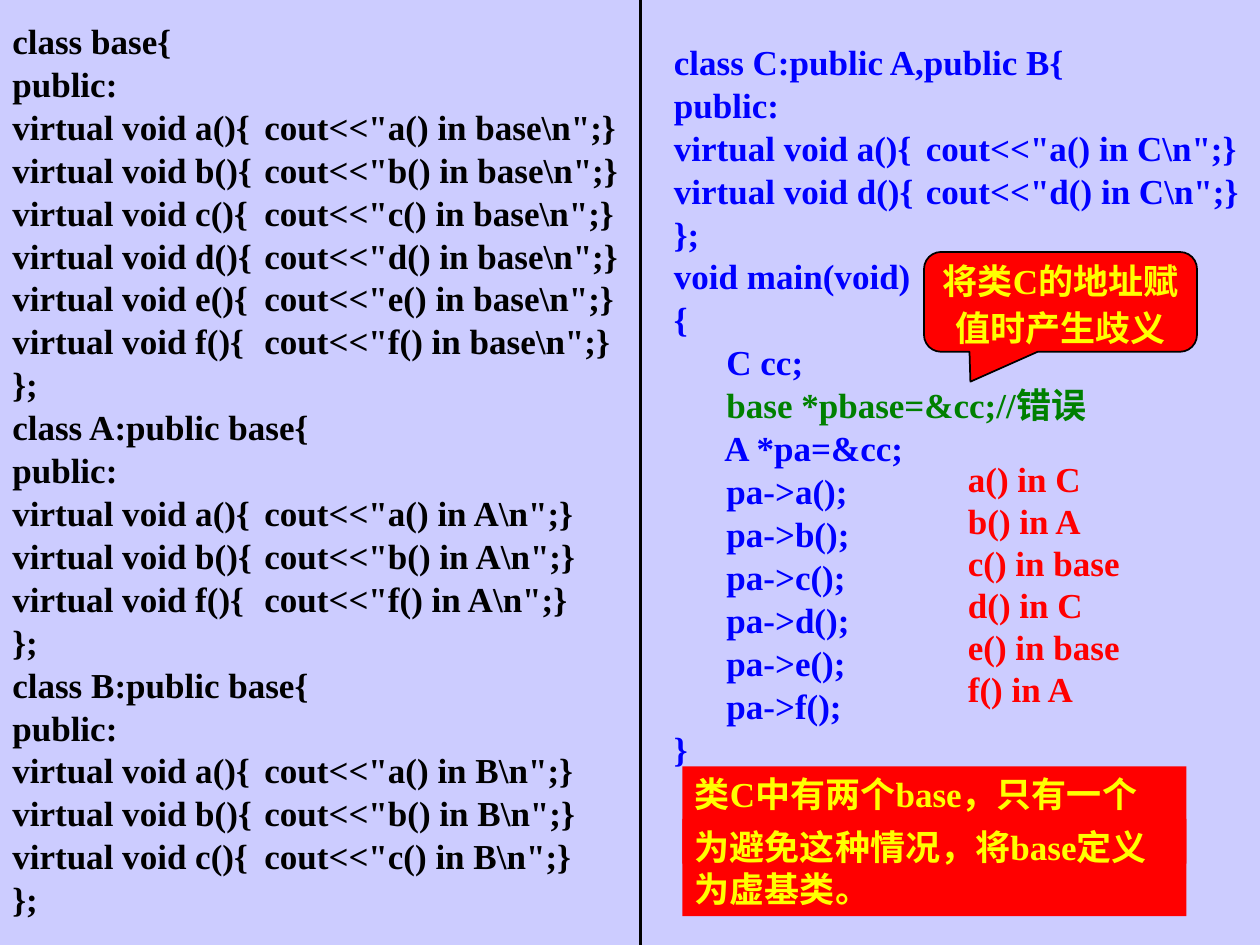
from dataclasses import dataclass
from pptx import Presentation
from pptx.dml.color import RGBColor
from pptx.enum.shapes import MSO_CONNECTOR, MSO_SHAPE
from pptx.enum.text import MSO_ANCHOR, PP_ALIGN
from pptx.oxml.ns import qn
from pptx.util import Pt


@dataclass(frozen=True)
class Theme:
    font: str = "Times New Roman"
    size: float = 20
    back: str = "CCCCFF"
    black: str = "000000"
    blue: str = "0000FF"
    green: str = "008000"
    red: str = "FF0000"
    yellow: str = "FFFF00"


@dataclass(frozen=True)
class Box:
    left: float
    top: float
    width: float
    height: float

    def pts(self) -> tuple:
        return Pt(self.left), Pt(self.top), Pt(self.width), Pt(self.height)


@dataclass(frozen=True)
class Note:
    box: Box
    text: str


T = Theme()
CODE_SPACING = {"line_spacing": 0.5, "space_before": Pt(12.5)}


def rgb(color: str) -> RGBColor:
    return RGBColor.from_string(color)


def set_all(obj, values: dict) -> None:
    for name, value in values.items():
        setattr(obj, name, value)


def add_run(p, text: str, color: str) -> None:
    r = p.add_run()
    r.text = text
    set_all(r.font, {"name": T.font, "size": Pt(T.size), "bold": True})
    r.font.color.rgb = rgb(color)


def set_frame(tf, mx: float = 7.2, my: float = 3.6, anchor=MSO_ANCHOR.TOP) -> None:
    set_all(tf, {"word_wrap": True, "vertical_anchor": anchor,
                 "margin_left": Pt(mx), "margin_right": Pt(mx),
                 "margin_top": Pt(my), "margin_bottom": Pt(my)})


def add_text(s, box: Box, lines: list[str], color: str, marks: dict[str, str]) -> None:
    tf = s.shapes.add_textbox(*box.pts()).text_frame
    set_frame(tf)
    for i, line in enumerate(lines):
        p = tf.paragraphs[0] if i == 0 else tf.add_paragraph()
        if len(lines) > 1:
            set_all(p, CODE_SPACING)
        if i == 0:
            p.space_before = Pt(0)
        add_run(p, line, marks.get(line, color))


def add_note(s, note: Note, kind=MSO_SHAPE.RECTANGLE):
    sp = s.shapes.add_shape(kind, *note.box.pts())
    sp.shadow.inherit = False
    sp.fill.solid()
    sp.fill.fore_color.rgb = rgb(T.red)
    sp.line.fill.background()
    set_frame(sp.text_frame)
    p = sp.text_frame.paragraphs[0]
    p.alignment = PP_ALIGN.LEFT
    add_run(p, note.text, T.yellow)
    return sp


def add_callout(s, note: Note) -> None:
    sp = add_note(s, note, MSO_SHAPE.ROUNDED_RECTANGULAR_CALLOUT)
    for i, value in enumerate((-0.33, 0.8, 0.17)):
        sp.adjustments[i] = value
    sp.line.color.rgb = rgb(T.black)
    sp.line.width = Pt(1)
    set_frame(sp.text_frame, 1.44, 0, MSO_ANCHOR.MIDDLE)
    set_all(sp.text_frame.paragraphs[0],
            {"alignment": PP_ALIGN.CENTER, "line_spacing": 1.1})


def add_divider(s, x: float, height: float) -> None:
    line = s.shapes.add_connector(MSO_CONNECTOR.STRAIGHT, Pt(x), Pt(0), Pt(x), Pt(height))
    line.line.color.rgb = rgb(T.black)
    line.line.width = Pt(2.25)
    sp_pr = line._element.spPr
    sp_pr.append(sp_pr.makeelement(qn("a:effectLst"), {}))


def class_code(head: str, name: str, methods: str) -> list[str]:
    body = [f'virtual void {m}(){{\tcout<<"{m}() in {name}\\n";}}' for m in methods]
    return [f"class {head}{{", "public:", *body, "};"]


def main() -> None:
    prs = Presentation()
    set_all(prs, {"slide_width": Pt(720), "slide_height": Pt(540)})
    s = prs.slides.add_slide(prs.slide_layouts[6])
    s.background.fill.solid()
    s.background.fill.fore_color.rgb = rgb(T.back)

    left = [*class_code("base", "base", "abcdef"),
            *class_code("A:public base", "A", "abf"),
            *class_code("B:public base", "B", "abc")]
    add_text(s, Box(0, 18, 366, 510), left, T.black, {})

    error = "      base *pbase=&cc;//错误"
    right = [*class_code("C:public A,public B", "C", "ad"),
             "void main(void)", "{", "      C cc;", error, "      A *pa=&cc;",
             *(f"      pa->{m}();" for m in "abcdef"), "}"]
    add_text(s, Box(378, 30, 342, 412), right, T.blue, {error: T.green})

    add_divider(s, 366, 540)
    add_callout(s, Note(Box(528, 144, 156, 57), "将类C的地址赋值时产生歧义"))
    add_note(s, Note(Box(390, 438, 288, 55.5), "类C中有两个base，只有一个"))
    for i, (method, owner) in enumerate(zip("abcdef", ("C", "A", "base", "C", "base", "A"))):
        add_text(s, Box(546, 258 + 24 * i, 108, 31.5), [f"{method}() in {owner}"], T.red, {})
    add_note(s, Note(Box(390, 468, 288, 55.5), "为避免这种情况，将base定义为虚基类。"))
    prs.save("out.pptx")


if __name__ == "__main__":
    main()
